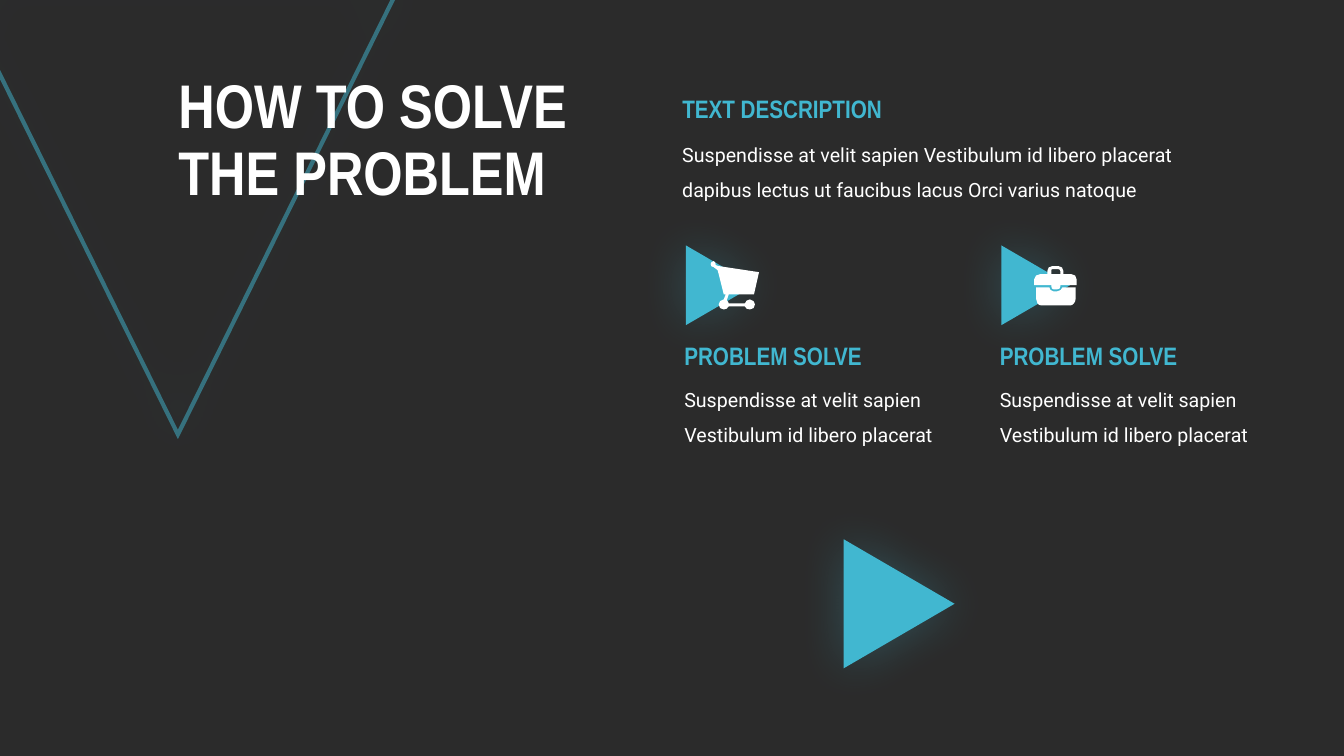
from lxml import etree
from pptx import Presentation
from pptx import util as u
from pptx.dml.color import RGBColor
from pptx.enum import shapes, text
from pptx.oxml.ns import qn

PX = 9144  # 100 px to the inch
COLORS = {"background": "2B2B2B", "accent": "41B7D0", "plain": "FFFFFF"}
HEADING, BODY = "Arial Narrow", "Roboto"

# Outlines in px: a pair is a straight step, six numbers are a cubic curve.
CASE_BASE = [[
    (1049, 289), (1045, 289), (1043, 289, 1041, 287, 1041, 285), (1028, 285),
    (1028, 297), (1028, 300, 1030, 303, 1033, 303), (1062, 303),
    (1064, 303, 1067, 300, 1067, 297), (1067, 285), (1054, 285),
    (1054, 287, 1051, 289, 1049, 289),
]]
CASE_LID = [[
    (1063, 272), (1055, 272), (1055, 269), (1055, 266, 1053, 264, 1050, 264),
    (1044, 264), (1041, 264, 1039, 266, 1039, 269), (1039, 272), (1032, 272),
    (1029, 272, 1026, 274, 1026, 277), (1026, 283), (1043, 283), (1043, 284),
    (1043, 286, 1044, 287, 1045, 287), (1049, 287),
    (1051, 287, 1052, 286, 1052, 284), (1052, 283), (1068, 283), (1068, 277),
    (1068, 274, 1066, 272, 1063, 272),
], [
    (1043, 269), (1043, 268, 1043, 267, 1044, 267), (1050, 267),
    (1051, 267, 1052, 268, 1052, 269), (1052, 272), (1043, 272),
]]
CART = [[
    (744, 297), (741, 297, 740, 299, 739, 301), (723, 301),
    (723, 300, 722, 299, 721, 298), (723, 292), (748, 292), (753, 270),
    (713, 264), (710, 263), (710, 262), (710, 261, 709, 259, 708, 259),
    (706, 259, 705, 261, 705, 262), (705, 264, 706, 265, 708, 265),
    (712, 268), (718, 292), (720, 292), (718, 297),
    (715, 297, 713, 300, 713, 302), (713, 305, 715, 307, 718, 307),
    (720, 307, 722, 306, 723, 304), (739, 304),
    (740, 306, 741, 307, 744, 307), (747, 307, 749, 305, 749, 302),
    (749, 300, 747, 297, 744, 297),
]]


def px(*lengths):
    return [u.Emu(length * PX) for length in lengths]


def rgb(name):
    return RGBColor.from_string(COLORS[name])


def add_alpha(color_element, percent):
    etree.SubElement(color_element, qn("a:alpha"), val=str(percent * 1000))


def write(shape, words, size, font=BODY, color="plain", bold=False, spacing=1.0):
    frame = shape.text_frame
    frame.word_wrap = True
    frame.text = words
    paragraph = frame.paragraphs[0]
    paragraph.alignment = text.PP_ALIGN.LEFT
    paragraph.line_spacing = spacing
    for run in paragraph.runs:
        run.font.size = u.Pt(size)
        run.font.name = font
        run.font.bold = bold
        run.font.color.rgb = rgb(color)


def add_text(slide, box, words, size, **text_format):
    shape = slide.shapes.add_textbox(*px(*box))
    write(shape, words, size, **text_format)
    shape.text_frame.auto_size = text.MSO_AUTO_SIZE.SHAPE_TO_FIT_TEXT


def add_heading(slide, box, words):
    add_text(slide, box, words, 18, font=HEADING, color="accent", bold=True)


def add_triangle(slide, box, rotation=90, outlined=False):
    """Add a glowing triangle, filled or drawn as a translucent outline."""
    shape = slide.shapes.add_shape(shapes.MSO_SHAPE.ISOSCELES_TRIANGLE, *px(*box))
    shape.rotation = rotation
    if outlined:
        shape.fill.background()
        shape.line.color.rgb = rgb("accent")
        shape.line.width = u.Pt(3)
        line = shape.line._get_or_add_ln()
        add_alpha(line.find(".//" + qn("a:srgbClr")), 50)
        etree.SubElement(line, qn("a:miter"), lim="800000")
    else:
        shape.fill.solid()
        shape.fill.fore_color.rgb = rgb("accent")
        shape.line.fill.background()
    shape.shadow.inherit = False
    effects = shape._element.spPr.find(qn("a:effectLst"))
    glow = etree.SubElement(effects, qn("a:outerShdw"), blurRad=str(u.Pt(35)),
                            dist="0", dir="0", algn="ctr", rotWithShape="0")
    add_alpha(etree.SubElement(glow, qn("a:srgbClr"), val=COLORS["accent"]), 25)


def bend(shape, contours):
    """Turn the straight segments of curved steps into cubic curves."""
    steps = [step for contour in contours for step in contour[1:]]
    segments = list(shape._element.iter(qn("a:lnTo")))
    for step, segment in zip(steps, segments):
        if len(step) == 2:
            continue
        curve = etree.Element(qn("a:cubicBezTo"))
        for x, y in (step[:2], step[2:4], step[4:]):
            etree.SubElement(curve, qn("a:pt"), x=str(x * PX - shape.left),
                             y=str(y * PX - shape.top))
        segment.getparent().replace(segment, curve)


def add_icon(collection, contours):
    first, *others = [[step[-2:] for step in contour] for contour in contours]
    builder = collection.build_freeform(*first[0], scale=PX)
    builder.add_line_segments(first[1:], close=True)
    for points in others:
        builder.move_to(*points[0])
        builder.add_line_segments(points[1:], close=True)
    shape = builder.convert_to_shape()
    outline = shape._element.find(".//" + qn("a:path"))
    outline.set("w", str(shape.width))
    outline.set("h", str(shape.height))
    for point in outline.iter(qn("a:pt")):
        for axis in ("x", "y"):
            point.set(axis, str(int(point.get(axis)) * PX))
    bend(shape, contours)
    shape.fill.solid()
    shape.fill.fore_color.rgb = rgb("plain")
    shape.line.fill.background()
    shape.shadow.inherit = False


def add_solution(slide, left):
    add_triangle(slide, (left + 6, 249, 79, 68))
    add_text(slide, (left, 368, 269, 77),
             "Suspendisse at velit sapien Vestibulum id libero placerat", 14, spacing=1.5)
    add_heading(slide, (left, 333, 221, 40), "PROBLEM SOLVE")


def add_title(slide):
    title = slide.shapes.title
    title.left, title.top, title.width, title.height = px(167, 62, 562, 158)
    write(title, "HOW TO SOLVE\vTHE PROBLEM", 44, font=HEADING, bold=True, spacing=0.9)
    title.text_frame.vertical_anchor = text.MSO_ANCHOR.MIDDLE
    title.text_frame.auto_size = text.MSO_AUTO_SIZE.NONE
    slide.shapes._spTree.append(title._element)  # in front of the outline


def main():
    presentation = Presentation()
    presentation.slide_width = u.Emu(12192000)
    presentation.slide_height = u.Inches(7.5)
    slide = presentation.slides.add_slide(presentation.slide_layouts[5])
    slide.background.fill.solid()
    slide.background.fill.fore_color.rgb = rgb("background")

    add_triangle(slide, (-43, -13, 439, 444), rotation=180, outlined=True)
    add_title(slide)
    add_text(slide, (667, 125, 513, 77),
             "Suspendisse at velit sapien Vestibulum id libero placerat "
             "dapibus lectus ut faucibus lacus Orci varius natoque", 14, spacing=1.5)
    add_heading(slide, (667, 88, 245, 40), "TEXT DESCRIPTION")

    for left in (669, 982):
        add_solution(slide, left)
    briefcase = slide.shapes.add_group_shape()
    for part in (CASE_BASE, CASE_LID):
        add_icon(briefcase.shapes, part)
    add_icon(slide.shapes, CART)
    add_triangle(slide, (828, 544, 128, 110))
    presentation.save("out.pptx")


if __name__ == "__main__":
    main()
